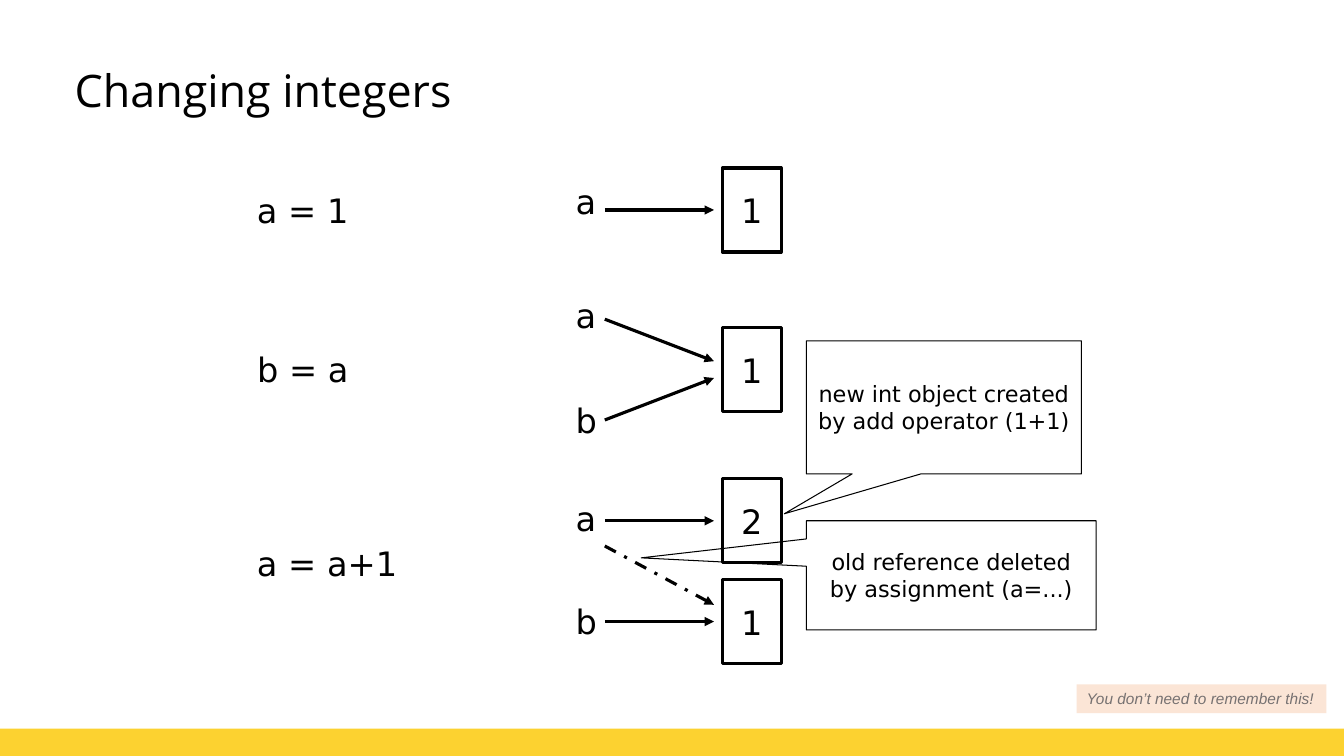
from dataclasses import dataclass

import pptx
import pptx.dml.color
import pptx.enum.dml
import pptx.enum.shapes
import pptx.enum.text
import pptx.oxml
import pptx.oxml.ns
import pptx.util

Pt = pptx.util.Pt
SHAPE = pptx.enum.shapes.MSO_SHAPE
ALIGN = pptx.enum.text.PP_ALIGN
ANCHOR = pptx.enum.text.MSO_ANCHOR


@dataclass(frozen=True)
class Theme:
    ink: str = "000000"
    band: str = "FCD230"
    note_fill: str = "FBE5D6"
    note_ink: str = "767171"
    title_font: str = "Open Sans"
    body_font: str = "DejaVu Sans"
    note_font: str = "Arial"
    title_size: int = 32
    body_size: int = 24
    callout_size: int = 16
    note_size: int = 11
    thick: float = 2.25
    thin: float = 0.75


THEME = Theme()
LABEL_X, LABEL_W = 404, 29
ARROW_X1, ARROW_X2 = 432, 510
BOX_X, BOX_W, BOX_H = 516, 42, 60
CALLOUT_X = 576
STATEMENT_X = 176.5
TEXT_H = 36


def rgb(code):
    return pptx.dml.color.RGBColor.from_string(code)


def write(sp, lines, size, font=THEME.body_font, color=THEME.ink,
          align=ALIGN.LEFT, anchor=ANCHOR.TOP, italic=False):
    tf = sp.text_frame
    tf.word_wrap = True
    tf.vertical_anchor = anchor
    tf.text = lines
    for p in tf.paragraphs:
        p.alignment = align
        for r in p.runs:
            r.font.size = Pt(size)
            r.font.name = font
            r.font.italic = italic
            r.font.color.rgb = rgb(color)
    return tf


def add_text(s, x, y, w, h, text, size, **style):
    sp = s.shapes.add_textbox(Pt(x), Pt(y), Pt(w), Pt(h))
    write(sp, text, size, **style)
    return sp


def add_outline(s, kind, x, y, w, h, text, size, line):
    sp = s.shapes.add_shape(kind, Pt(x), Pt(y), Pt(w), Pt(h))
    sp.shadow.inherit = False
    sp.fill.background()
    sp.line.color.rgb = rgb(THEME.ink)
    sp.line.width = Pt(line)
    write(sp, text, size, align=ALIGN.CENTER, anchor=ANCHOR.MIDDLE)
    return sp


def add_label(s, name, y):
    add_text(s, LABEL_X, y, LABEL_W, TEXT_H, name, THEME.body_size)


def add_value(s, value, y):
    add_outline(s, SHAPE.RECTANGLE, BOX_X, y, BOX_W, BOX_H, value,
                THEME.body_size, THEME.thick)


def add_arrow(s, y1, y2, dash=None):
    cx = s.shapes.add_connector(pptx.enum.shapes.MSO_CONNECTOR.STRAIGHT,
                                Pt(ARROW_X1), Pt(y1), Pt(ARROW_X2), Pt(y2))
    cx.line.color.rgb = rgb(THEME.ink)
    cx.line.width = Pt(THEME.thick)
    if dash:
        cx.line.dash_style = dash
    tail = pptx.oxml.parse_xml(
        f'<a:tailEnd {pptx.oxml.ns.nsdecls("a")} type="triangle"/>')
    cx.line._get_or_add_ln().append(tail)
    cx._element.spPr.append(pptx.oxml.parse_xml(
        f'<a:effectLst {pptx.oxml.ns.nsdecls("a")}/>'))


def add_callout(s, y, w, h, text, tip):
    sp = add_outline(s, SHAPE.RECTANGULAR_CALLOUT, CALLOUT_X, y, w, h, text,
                     THEME.callout_size, THEME.thin)
    sp.adjustments[0], sp.adjustments[1] = tip


def add_band(s):
    sp = s.shapes.add_shape(SHAPE.RECTANGLE, 0, Pt(520.5), Pt(960), Pt(19.5))
    sp.shadow.inherit = False
    sp.fill.solid()
    sp.fill.fore_color.rgb = rgb(THEME.band)
    sp.line.fill.background()


def add_title(s, text):
    sp = add_text(s, 48, 21.6, 864, 90, text, THEME.title_size,
                  font=THEME.title_font, anchor=ANCHOR.MIDDLE)
    tf = sp.text_frame
    tf.margin_left = tf.margin_right = Pt(5.4)
    tf.margin_top = tf.margin_bottom = Pt(2.7)
    tf.paragraphs[0].line_spacing = 0.9


def add_note(s, text):
    sp = add_text(s, 769, 488.8, 178.5, 20.6, text, THEME.note_size,
                  font=THEME.note_font, color=THEME.note_ink, italic=True)
    sp.text_frame.word_wrap = False
    sp.fill.solid()
    sp.fill.fore_color.rgb = rgb(THEME.note_fill)


def main():
    prs = pptx.Presentation()
    prs.slide_width, prs.slide_height = Pt(960), Pt(540)
    s = prs.slides.add_slide(prs.slide_layouts[6])
    add_band(s)
    add_title(s, "Changing integers")

    for text, y, w in (("a = 1", 132, 92), ("b = a", 246, 93),
                       ("a = a+1", 384, 122)):
        add_text(s, STATEMENT_X, y, w, TEXT_H, text, THEME.body_size)
    for name, y in (("a", 126), ("a", 207), ("b", 282), ("a", 352), ("b", 426)):
        add_label(s, name, y)
    for value, y in (("1", 120), ("1", 234), ("2", 342), ("1", 414)):
        add_value(s, value, y)
    for y1, y2 in ((150, 150), (228, 258), (300, 270), (372, 372), (444, 444)):
        add_arrow(s, y1, y2)
    add_arrow(s, 390, 432, pptx.enum.dml.MSO_LINE.DASH_DOT)

    add_callout(s, 372, 207, 78,
                "old reference deleted\nby assignment (a=...)", (-1.07, -0.16))
    add_callout(s, 243.5, 196.5, 95,
                "new int object created\nby add operator (1+1)", (-0.58, 0.8))
    add_note(s, "You don’t need to remember this!")
    prs.save("out.pptx")


if __name__ == "__main__":
    main()
